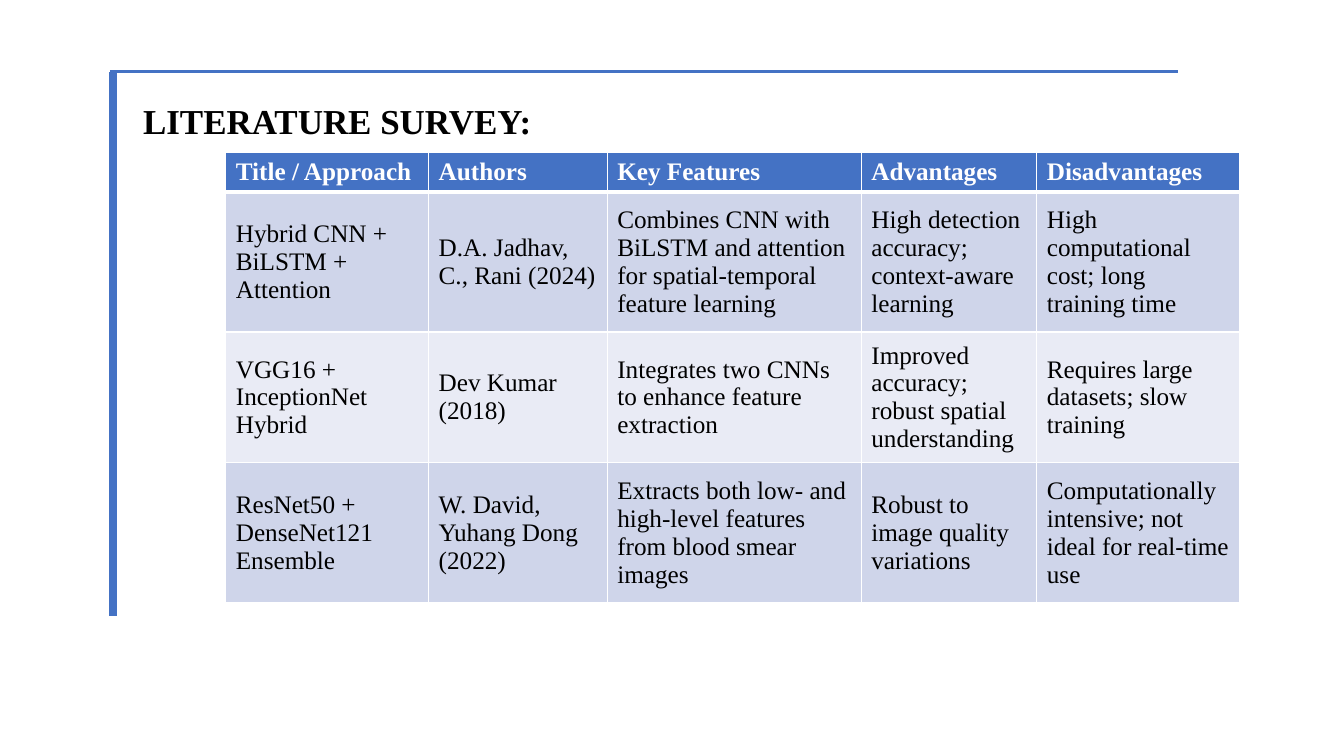
from dataclasses import dataclass

from lxml import etree
from pptx import Presentation
from pptx.dml.color import RGBColor
from pptx.enum.shapes import MSO_CONNECTOR
from pptx.enum.text import MSO_ANCHOR, MSO_AUTO_SIZE, PP_ALIGN
from pptx.oxml.ns import qn
from pptx.util import Pt

STRAIGHT = MSO_CONNECTOR.STRAIGHT
MIDDLE = MSO_ANCHOR.MIDDLE
LEFT = PP_ALIGN.LEFT
NO_AUTOFIT = MSO_AUTO_SIZE.NONE
TITLE_ONLY_LAYOUT = 5


@dataclass(frozen=True)
class Theme:
    font: str = "Times New Roman"
    title_size: float = 25
    table_size: float = 18
    accent: str = "4472C4"
    text: str = "000000"
    white: str = "FFFFFF"
    bands: tuple = ("CFD5EA", "E9EBF5")
    border: float = 1
    header_border: float = 3


COLUMN_WIDTHS = (144.9, 127.6, 181.5, 125.4, 144.9)
ROW_HEIGHTS = (28.5, 100, 93.3, 100)
SURVEY = (
    ("Title / Approach", "Authors", "Key Features", "Advantages", "Disadvantages"),
    ("Hybrid CNN + BiLSTM + Attention",
     "D.A. Jadhav, C., Rani (2024)",
     "Combines CNN with BiLSTM and attention for spatial-temporal feature learning",
     "High detection accuracy; context-aware learning",
     "High computational cost; long training time"),
    ("VGG16 + InceptionNet Hybrid",
     "Dev Kumar (2018)",
     "Integrates two CNNs to enhance feature extraction",
     "Improved accuracy; robust spatial understanding",
     "Requires large datasets; slow training"),
    ("ResNet50 + DenseNet121 Ensemble",
     "W. David, Yuhang Dong (2022)",
     "Extracts both low- and high-level features from blood smear images",
     "Robust to image quality variations",
     "Computationally intensive; not ideal for real-time use"),
)


class SlideBuilder:
    def __init__(self, slide, theme):
        self.slide = slide
        self.theme = theme

    def style_text(self, paragraph, size, color, bold):
        paragraph.alignment = LEFT
        font = paragraph.font
        font.name = self.theme.font
        font.size = Pt(size)
        font.bold = bold
        font.color.rgb = RGBColor.from_string(color)

    def title(self, text, left, top, width, height):
        shape = self.slide.shapes.title
        shape.left, shape.top = Pt(left), Pt(top)
        shape.width, shape.height = Pt(width), Pt(height)
        frame = shape.text_frame
        frame.text = text
        frame.word_wrap = True
        frame.auto_size = NO_AUTOFIT
        frame.vertical_anchor = MIDDLE
        self.style_text(frame.paragraphs[0], self.theme.title_size, self.theme.text, True)

    def line(self, start, end, width):
        connector = self.slide.shapes.add_connector(
            STRAIGHT, *(Pt(value) for value in (*start, *end)))
        connector.line.color.rgb = RGBColor.from_string(self.theme.accent)
        connector.line.width = Pt(width)
        # An empty effect list removes the shadow
        etree.SubElement(connector._element.spPr, qn("a:effectLst"))

    def cell_borders(self, cell, top, bottom):
        properties = cell._tc.get_or_add_tcPr()
        side = self.theme.border
        for tag, width in (("lnL", side), ("lnR", side), ("lnT", top), ("lnB", bottom)):
            line = etree.SubElement(properties, qn(f"a:{tag}"), w=str(Pt(width)))
            fill = etree.SubElement(line, qn("a:solidFill"))
            etree.SubElement(fill, qn("a:srgbClr"), val=self.theme.white)

    def cell(self, cell, text, row):
        theme = self.theme
        header = row == 0
        cell.text = text
        cell.vertical_anchor = MIDDLE
        self.style_text(cell.text_frame.paragraphs[0], theme.table_size,
                        theme.white if header else theme.text, header)
        self.cell_borders(cell,
                          theme.header_border if row == 1 else theme.border,
                          theme.header_border if header else theme.border)
        color = theme.accent if header else theme.bands[(row - 1) % 2]
        cell.fill.solid()
        cell.fill.fore_color.rgb = RGBColor.from_string(color)

    def table(self, rows, left, top, widths, heights):
        table = self.slide.shapes.add_table(
            len(rows), len(widths), Pt(left), Pt(top),
            Pt(sum(widths)), Pt(sum(heights))).table
        for column, width in zip(table.columns, widths):
            column.width = Pt(width)
        for row, height in zip(table.rows, heights):
            row.height = Pt(height)
        for row, texts in enumerate(rows):
            for column, text in enumerate(texts):
                self.cell(table.cell(row, column), text, row)


def main():
    presentation = Presentation()
    presentation.slide_width = Pt(960)
    presentation.slide_height = Pt(540)
    layout = presentation.slide_layouts[TITLE_ONLY_LAYOUT]
    builder = SlideBuilder(presentation.slides.add_slide(layout), Theme())

    # Frame lines along the top and left
    builder.line((78.5, 51.1), (841.7, 51.1), 1.5)
    builder.line((80.6, 51.1), (80.6, 439.9), 6)

    # Heading and survey table
    builder.title("LITERATURE SURVEY:", 95, 67.7, 301.7, 37.4)
    builder.table(SURVEY, 161.3, 108.7, COLUMN_WIDTHS, ROW_HEIGHTS)

    presentation.save("out.pptx")


if __name__ == "__main__":
    main()
